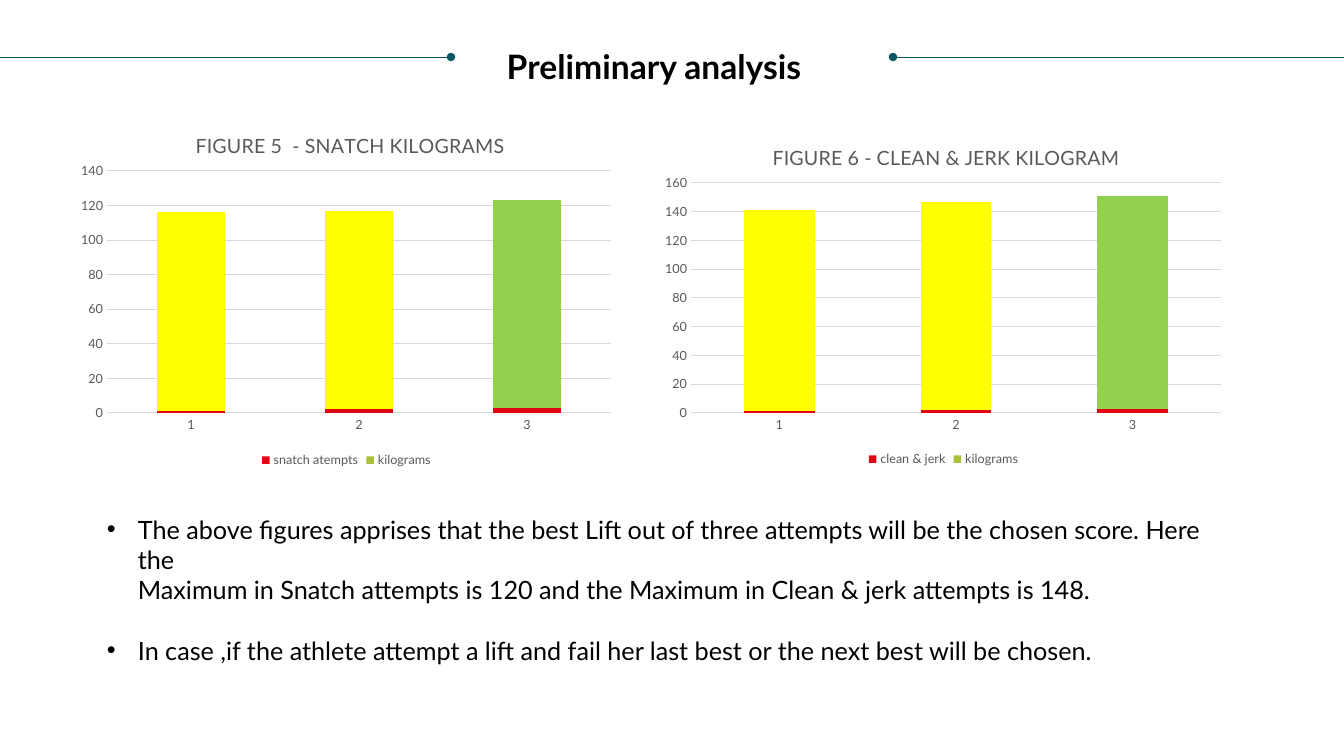
from dataclasses import dataclass

from lxml.etree import SubElement
from pptx import Presentation
from pptx.chart.data import CategoryChartData
from pptx.dml.color import RGBColor
from pptx.enum.chart import XL_CHART_TYPE, XL_LEGEND_POSITION, XL_TICK_MARK
from pptx.enum.shapes import MSO_CONNECTOR
from pptx.enum.text import MSO_ANCHOR, PP_ALIGN
from pptx.oxml import parse_xml
from pptx.oxml.ns import nsdecls, qn
from pptx.util import Pt

# Content
TITLE = "Preliminary analysis"
ATTEMPTS = ["1", "2", "3"]
# box and plot: left, top, width, height in px; title_at: left, top
CHARTS = [
    dict(title="FIGURE 5  - SNATCH KILOGRAMS", box=(71, 110, 551, 362),
         title_at=(192, 128), plot=(107, 171, 504, 242), top=140,
         series=[("snatch atempts", (1, 2, 3)), ("kilograms", (115, 115, 120))]),
    dict(title="FIGURE 6 - CLEAN & JERK KILOGRAM", box=(654, 122, 579, 349),
         title_at=(769, 140), plot=(691, 183, 530, 230), top=160,
         series=[("clean & jerk", (1, 2, 3)), ("kilograms", (140, 145, 148))]),
]
# text, bulleted, space before in points
NOTES = [
    ("The above figures apprises that the best Lift out of three attempts "
     "will be the chosen score. Here the", True, 0),
    ("Maximum in Snatch attempts is 120 and the Maximum in Clean & jerk "
     "attempts is 148.", False, 0),
    ("In case ,if the athlete attempt a lift and fail her last best or the "
     "next best will be chosen.", True, 21.6),
]
# start x, end x, end carrying the dot
RULES = [(0, 451, "a:tailEnd"), (893, 1344, "a:headEnd")]
RULE_Y = 57


@dataclass(frozen=True)
class Theme:
    font: str = "Lato"
    text: str = "000000"
    muted: str = "595959"
    grid: str = "D9D9D9"
    rule: str = "085764"
    series: tuple = ("E20613", "A9C038")
    lifts: tuple = ("FFFF00", "FFFF00", "92D050")
    title: int = 24
    body: int = 18
    chart_title: int = 14
    label: int = 9


THEME = Theme()


def px(n):
    return round(n * 914400 / 100.8)


def rgb(value):
    return RGBColor.from_string(value)


def style(font, size, color, bold=False):
    font.name, font.size, font.bold = THEME.font, Pt(size), bold
    font.color.rgb = rgb(color)


def fill(fmt, color):
    fmt.fill.solid()
    fmt.fill.fore_color.rgb = rgb(color)


def set_layout(parent, index, box, **values):
    """Fix a chart part at fractions of the chart box."""
    for old in parent.findall(qn("c:layout")):
        parent.remove(old)
    layout = parse_xml(f"<c:layout {nsdecls('c')}><c:manualLayout/></c:layout>")
    manual = layout[0]
    if "w" in values:
        SubElement(manual, qn("c:layoutTarget")).set("val", "inner")
    for key in ("xMode", "yMode"):
        SubElement(manual, qn(f"c:{key}")).set("val", "edge")
    left, top, width, height = box
    offset = dict(x=left, y=top, w=0, h=0)
    span = dict(x=width, y=height, w=width, h=height)
    for key, value in values.items():
        fraction = (value - offset[key]) / span[key]
        SubElement(manual, qn(f"c:{key}")).set("val", f"{fraction:.4f}")
    parent.insert(index, layout)


def add_rule(s, x1, x2, dot_end):
    line = s.shapes.add_connector(
        MSO_CONNECTOR.STRAIGHT, px(x1), px(RULE_Y), px(x2), px(RULE_Y))
    line.line.color.rgb = rgb(THEME.rule)
    line.line.width = Pt(0.5)
    SubElement(line.line._get_or_add_ln(), qn(dot_end)).set("type", "oval")
    SubElement(line._element.spPr, qn("a:effectLst"))


def add_lift_chart(s, title, box, title_at, plot, top, series):
    data = CategoryChartData()
    data.categories = ATTEMPTS
    for name, values in series:
        data.add_series(name, values)
    chart = s.shapes.add_chart(
        XL_CHART_TYPE.COLUMN_STACKED, *map(px, box), data).chart
    style(chart.font, THEME.label, THEME.muted)

    # Title and legend
    chart.has_title = True
    r = chart.chart_title.text_frame.paragraphs[0].add_run()
    r.text = title
    style(r.font, THEME.chart_title, THEME.muted)
    set_layout(chart.chart_title._element, 1, box, x=title_at[0], y=title_at[1])
    chart.has_legend = True
    chart.legend.position = XL_LEGEND_POSITION.BOTTOM
    chart.legend.include_in_layout = False
    style(chart.legend.font, THEME.label, THEME.muted)

    # Axes
    for axis in (chart.category_axis, chart.value_axis):
        axis.major_tick_mark = axis.minor_tick_mark = XL_TICK_MARK.NONE
        style(axis.tick_labels.font, THEME.label, THEME.muted)
    values = chart.value_axis
    values.minimum_scale, values.maximum_scale, values.major_unit = 0, top, 20
    values.format.line.fill.background()
    for line in (chart.category_axis.format.line,
                 values.major_gridlines.format.line):
        line.color.rgb = rgb(THEME.grid)
        line.width = Pt(0.75)

    # Columns
    bars = chart.plots[0]
    bars.gap_width, bars.overlap, bars.vary_by_categories = 150, 100, False
    for ser, color in zip(bars.series, THEME.series):
        fill(ser.format, color)
    for i, color in enumerate(THEME.lifts):
        fill(bars.series[1].points[i].format, color)
    plot_area = chart._chartSpace.find(".//" + qn("c:plotArea"))
    set_layout(plot_area, 0, box, **dict(zip("xywh", plot)))


def add_notes(s):
    tf = s.shapes.add_textbox(px(97), px(509), px(1136), px(162)).text_frame
    tf.word_wrap = True
    for i, (text, bulleted, gap) in enumerate(NOTES):
        p = tf.paragraphs[0] if i == 0 else tf.add_paragraph()
        p.space_before = Pt(gap)
        r = p.add_run()
        r.text = text
        style(r.font, THEME.body, THEME.text)
        pPr = p._p.get_or_add_pPr()
        pPr.set("marL", str(px(31)))
        if bulleted:
            pPr.set("indent", str(-px(31)))
            SubElement(pPr, qn("a:buFont")).set("typeface", "Arial")
            SubElement(pPr, qn("a:buChar")).set("char", "•")


def main():
    prs = Presentation()
    prs.slide_width, prs.slide_height = px(1344), px(756)
    s = prs.slides.add_slide(prs.slide_layouts[5])

    # Heading between the two rules
    sp = s.shapes.title
    sp.left, sp.top, sp.width, sp.height = map(px, (460, 42, 388, 48))
    tf = sp.text_frame
    tf.margin_top = tf.margin_bottom = 0
    tf.vertical_anchor = MSO_ANCHOR.MIDDLE
    p = tf.paragraphs[0]
    p.alignment = PP_ALIGN.CENTER
    r = p.add_run()
    r.text = TITLE
    style(r.font, THEME.title, THEME.text, bold=True)
    for rule in RULES:
        add_rule(s, *rule)

    # Charts and notes
    for chart in CHARTS:
        add_lift_chart(s, **chart)
    add_notes(s)
    prs.save("out.pptx")


if __name__ == "__main__":
    main()
